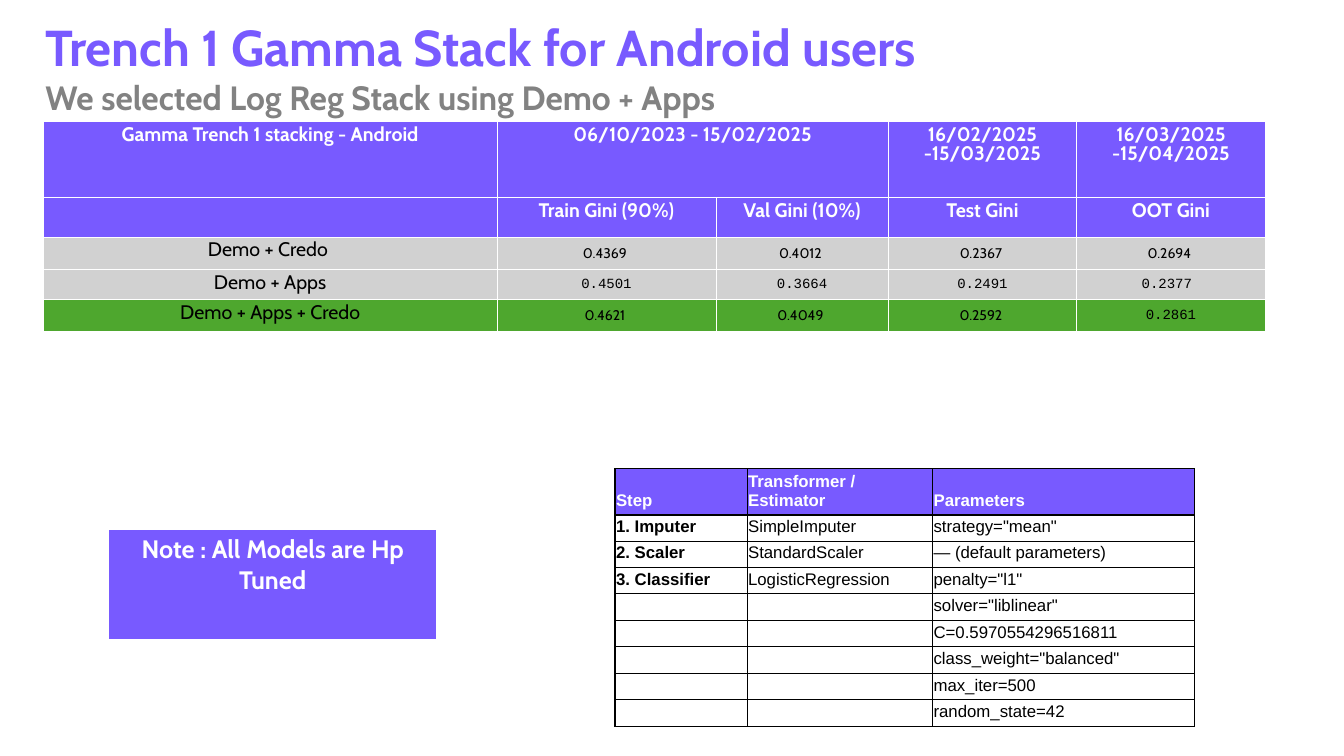
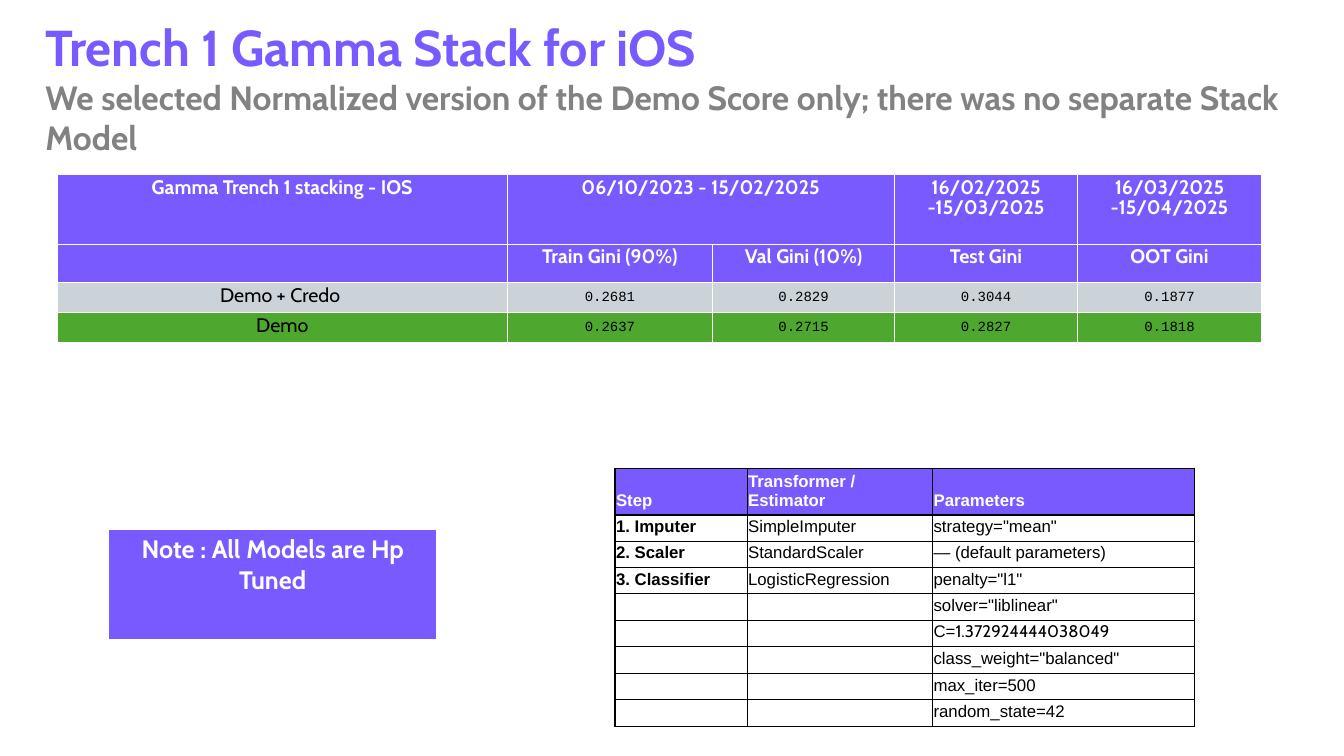
import pptx
import pptx.util
import pptx.dml.color
import pptx.enum.text
import pptx.oxml
import pptx.oxml.ns

Inches = pptx.util.Inches
Pt = pptx.util.Pt
align = pptx.enum.text.PP_ALIGN
anchor = pptx.enum.text.MSO_ANCHOR

hues = {
    "violet": "785AFF",
    "gray": "828282",
    "silver": "D1D1D1",
    "mist": "CCD3D8",
    "green": "4EA72E",
    "white": "FFFFFF",
    "black": "000000",
}

thin = (0.5, 0.5, 0.5, 0.5)
plain = (0.1, 0.05, 0.1, 0.05)
label = {"size": 14, "align": align.CENTER, "anchor": anchor.TOP, "pad": plain,
         "space": Pt(14.2), "edge": "white", "lines": thin}
score = {"size": 10, "align": align.CENTER, "anchor": anchor.MIDDLE,
         "pad": (0.01, 0.01, 0.01, 0), "space": 1.0, "edge": "white", "lines": thin}
step = {"size": 12, "align": align.LEFT, "anchor": anchor.BOTTOM,
        "pad": (0.01, 0.01, 0.01, 0.05), "space": 1.0, "edge": "black",
        "lines": (1, 1, 1, 1)}
note = {"size": 18, "align": align.CENTER, "anchor": anchor.TOP, "pad": plain,
        "space": 1.0, "edge": "white", "lines": (1, 1, 1, 3)}


def make_grid(slide, left, top, cols, rows):
    frame = slide.shapes.add_table(
        len(rows), len(cols), Inches(left), Inches(top),
        Inches(sum(cols)), Inches(sum(rows)))
    grid = frame.table
    grid.first_row = False
    grid.horz_banding = False
    for col, width in zip(grid.columns, cols):
        col.width = Inches(width)
    for row, height in zip(grid.rows, rows):
        row.height = Inches(height)
    return grid


def fill_cell(cell, look, parts, hue, bold, fill):
    props = cell._tc.get_or_add_tcPr()
    for side, width in zip("LRTB", look["lines"]):
        props.append(pptx.oxml.parse_xml(
            f'<a:ln{side} {pptx.oxml.ns.nsdecls("a")} w="{Pt(width)}">'
            f'<a:solidFill><a:srgbClr val="{hues[look["edge"]]}"/></a:solidFill>'
            f'</a:ln{side}>'))
    if fill:
        cell.fill.solid()
        cell.fill.fore_color.rgb = pptx.dml.color.RGBColor.from_string(hues[fill])
    else:
        cell.fill.background()
    pad = [Inches(gap) for gap in look["pad"]]
    cell.margin_left, cell.margin_top, cell.margin_right, cell.margin_bottom = pad
    cell.vertical_anchor = look["anchor"]
    para = cell.text_frame.paragraphs[0]
    para.alignment = look["align"]
    para.line_spacing = look["space"]
    for text, face in parts:
        run = para.add_run()
        run.text = text
        run.font.size = Pt(look["size"])
        run.font.name = face
        run.font.bold = bold
        run.font.color.rgb = pptx.dml.color.RGBColor.from_string(hues[hue])
    if not parts:
        para._p.append(pptx.oxml.parse_xml(
            f'<a:endParaRPr {pptx.oxml.ns.nsdecls("a")} sz="{look["size"] * 100}"/>'))


heads = ["", "Train Gini (90%)", "Val Gini (10%)", "Test Gini", "OOT Gini"]
dates = ["06/10/2023 - 15/02/2025", "", "16/02/2025 -15/03/2025",
         "16/03/2025 -15/04/2025"]
cabin, mono = ["Cabin"] * 4, ["Courier New"] * 4

pages = [
    {
        "title": "Trench 1 Gamma Stack for Android users",
        "lead": "We selected Log Reg Stack using Demo + Apps",
        "tall": 1.11,
        "name": "Gamma Trench 1 stacking - Android",
        "at": (0.43, 1.2),
        "cols": [4.5, 2.17, 1.71, 1.87, 1.87],
        "rows": [0.76, 0.39, 0.32, 0.29, 0.32],
        "scores": [
            ("Demo + Credo ", ["0.4369 ", "0.4012 ", "0.2367 ", "0.2694 "],
             cabin, "silver"),
            ("Demo + Apps", ["0.4501", "0.3664", "0.2491", "0.2377 "],
             mono, "silver"),
            ("Demo + Apps + Credo", ["0.4621 ", "0.4049 ", "0.2592 ", "0.2861"],
             cabin[:3] + mono[:1], "green"),
        ],
        "cost": ("0.5970554296516811", "Arial"),
    },
    {
        "title": "Trench 1 Gamma Stack for iOS",
        "lead": "We selected Normalized version of the Demo Score only; "
                "there was no separate Stack Model",
        "tall": 1.51,
        "name": "Gamma Trench 1 stacking - IOS",
        "at": (0.57, 1.73),
        "cols": [4.46, 2.04, 1.8, 1.82, 1.82],
        "rows": [0.69, 0.38, 0.3, 0.3],
        "scores": [
            ("Demo + Credo ", ["0.2681", "0.2829", "0.3044", "0.1877"], mono, "mist"),
            ("Demo", ["0.2637", "0.2715", "0.2827", "0.1818"], mono, "green"),
        ],
        "cost": ("1.372924444038049", "Cabin"),
    },
]

deck = pptx.Presentation()
deck.slide_width = Inches(13.33)
deck.slide_height = Inches(7.5)

for page in pages:
    slide = deck.slides.add_slide(deck.slide_layouts[5])

    title = slide.shapes.title
    title.left, title.top = Inches(0.35), Inches(0.11)
    title.width, title.height = Inches(12.57), Inches(page["tall"])
    frame = title.text_frame
    frame.word_wrap = True
    frame.auto_size = pptx.enum.text.MSO_AUTO_SIZE.NONE
    frame.vertical_anchor = anchor.TOP
    lines = [(page["title"], 36, "violet"), (page["lead"], 24, "gray")]
    for spot, (text, size, hue) in enumerate(lines):
        para = frame.add_paragraph() if spot else frame.paragraphs[0]
        para.alignment = align.LEFT
        run = para.add_run()
        run.text = text
        run.font.size = Pt(size)
        run.font.name = "Cabin"
        run.font.bold = True
        run.font.color.rgb = pptx.dml.color.RGBColor.from_string(hues[hue])

    grid = make_grid(slide, *page["at"], page["cols"], page["rows"])
    for row, texts in enumerate([[page["name"]] + dates, heads]):
        for col, text in enumerate(texts):
            parts = [(text, "Cabin")] if text else []
            fill_cell(grid.cell(row, col), label, parts, "white", True, "violet")
    grid.cell(0, 1).merge(grid.cell(0, 2))
    for row, (name, values, faces, fill) in enumerate(page["scores"], 2):
        fill_cell(grid.cell(row, 0), label, [(name, "Cabin")], "black", False, fill)
        for col, part in enumerate(zip(values, faces), 1):
            fill_cell(grid.cell(row, col), score, [part], "black", False, fill)

    steps = [
        ("Step", "Transformer / Estimator", "Parameters"),
        ("1. Imputer", "SimpleImputer", 'strategy="mean"'),
        ("2. Scaler", "StandardScaler", "— (default parameters)"),
        ("3. Classifier", "LogisticRegression", 'penalty="l1"'),
        ("", "", 'solver="liblinear"'),
        ("", "", "C="),
        ("", "", 'class_weight="balanced"'),
        ("", "", "max_iter=500"),
        ("", "", "random_state=42"),
    ]
    grid = make_grid(slide, 6.1, 4.65, [1.31, 1.84, 2.6], [0.46] + [0.26] * 8)
    for row, texts in enumerate(steps):
        for col, text in enumerate(texts):
            parts = [(text, "Arial")] if text else []
            if text == "C=":
                parts.append(page["cost"])
            fill_cell(grid.cell(row, col), step, parts,
                      "black" if row else "white", row == 0 or col == 0,
                      None if row else "violet")

    grid = make_grid(slide, 1.08, 5.25, [3.25], [1.11])
    fill_cell(grid.cell(0, 0), note, [("Note : All Models are Hp Tuned", "Cabin")],
              "white", True, "violet")

deck.save("out.pptx")
